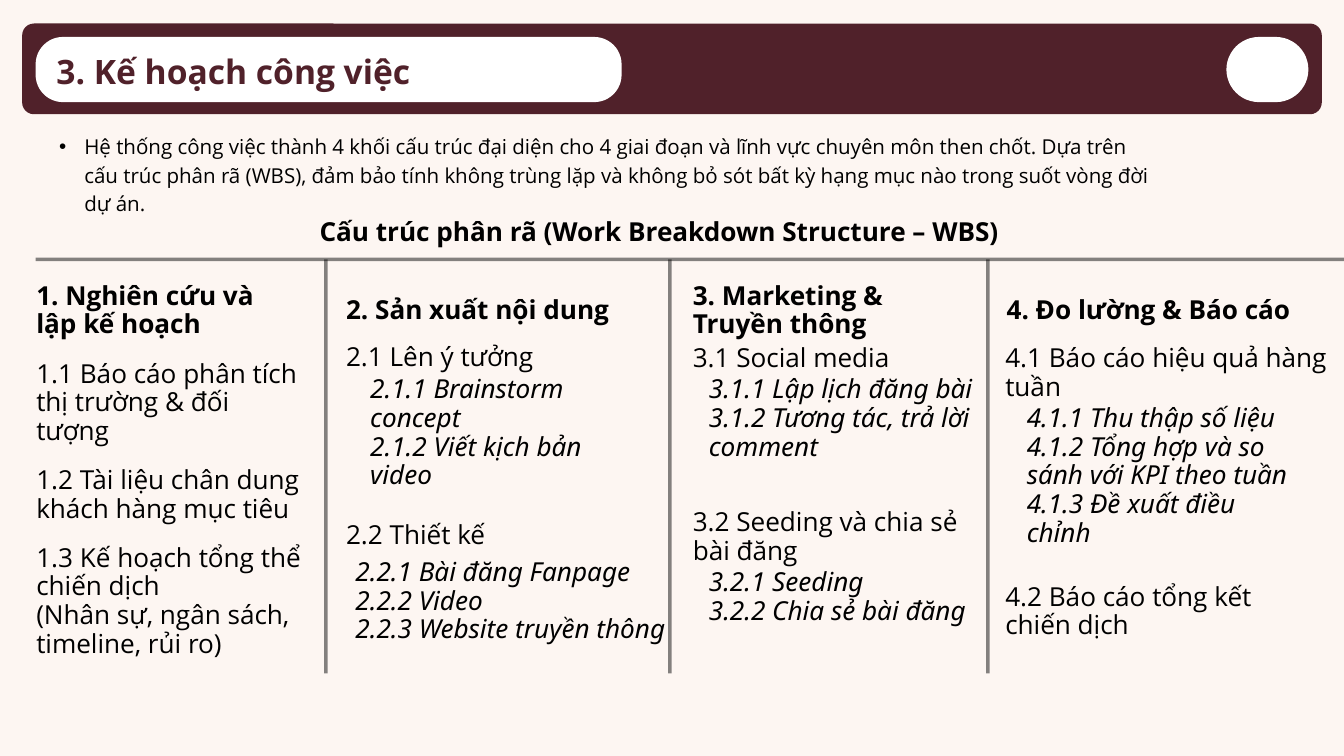
from lxml.etree import SubElement
from pptx import Presentation
from pptx.dml.color import RGBColor
from pptx.enum.shapes import MSO_CONNECTOR, MSO_SHAPE
from pptx.enum.text import MSO_ANCHOR, MSO_AUTO_SIZE, PP_ALIGN
from pptx.oxml.ns import qn
from pptx.util import Inches, Pt

COLS, ROWS = 20, 11.25  # grid of one-inch cells
WINE, WHITE, BLACK, CREAM = "50212A", "FFFFFF", "000000", "FDF6F2"
LINE = 0.43  # rows taken by one line of list text

# Formats: font values and exact line pitch
TITLE = (dict(name="Open Sans", size=Pt(36), bold=True, italic=False), 50.4)
INTRO = (dict(name="Open Sans", size=Pt(22), bold=False, italic=False), 30.8)
HEAD = (dict(name="Open Sans", size=Pt(28), bold=True, italic=False), 29.4)
ITEM = (dict(name="Open Sans", size=Pt(28), bold=False, italic=False), 30.8)
SUB = (dict(name="Noto Sans", size=Pt(28), bold=False, italic=True), 30.8)

# Columns: left, heading width, heading, parts
# Part: format, indent, row below the heading top, width, lines, paragraphs
WORK = [
    (0.54, 3.93, "1. Nghiên cứu và lập kế hoạch", [
        (ITEM, 0, 1.14, 4.03, 3, ["1.1 Báo cáo phân tích thị trường & đối tượng"]),
        (ITEM, 0, 2.73, 4.06, 2, ["1.2 Tài liệu chân dung khách hàng mục tiêu"]),
        (ITEM, 0, 3.88, 4.06, 4, ["1.3 Kế hoạch tổng thể chiến dịch",
                                  "(Nhân sự, ngân sách, timeline, rủi ro)"]),
    ]),
    (5.15, 4.5, "2. Sản xuất nội dung", [
        (ITEM, 0, 0.89, 4.28, 1, ["2.1 Lên ý tưởng"]),
        (SUB, 0.36, 1.37, 3.93, 4, ["2.1.1 Brainstorm concept",
                                    "2.1.2 Viết kịch bản video"]),
        (ITEM, 0, 3.55, 4.28, 1, ["2.2 Thiết kế"]),
        (SUB, 0.14, 4.09, 4.63, 3, ["2.2.1 Bài đăng Fanpage", "2.2.2 Video",
                                    "2.2.3 Website truyền thông"]),
    ]),
    (10.31, 3.62, "3. Marketing & Truyền thông", [
        (ITEM, 0, 0.91, 4.03, 1, ["3.1 Social media"]),
        (SUB, 0.24, 1.37, 3.93, 3, ["3.1.1 Lập lịch đăng bài",
                                    "3.1.2 Tương tác, trả lời comment"]),
        (ITEM, 0, 3.35, 4.27, 2, ["3.2 Seeding và chia sẻ bài đăng"]),
        (SUB, 0.24, 4.25, 3.93, 2, ["3.2.1 Seeding", "3.2.2 Chia sẻ bài đăng"]),
    ]),
    (14.98, 4.51, "4. Đo lường & Báo cáo", [
        (ITEM, -0.02, 0.91, 5, 2, ["4.1 Báo cáo hiệu quả hàng tuần"]),
        (SUB, 0.3, 1.8, 3.93, 5, ["4.1.1 Thu thập số liệu",
                                  "4.1.2 Tổng hợp và so sánh với KPI theo tuần",
                                  "4.1.3 Đề xuất điều chỉnh"]),
        (ITEM, -0.02, 4.46, 3.93, 2, ["4.2 Báo cáo tổng kết chiến dịch"]),
    ]),
]


def paint(fmt, color):
    fmt.solid()
    fmt.fore_color.rgb = RGBColor.from_string(color)


def grid(*cells):
    return [Inches(cell) for cell in cells]


def write(shape, lines, style, color=BLACK, align=PP_ALIGN.LEFT,
          anchor=MSO_ANCHOR.TOP):
    font, pitch = style
    frame = shape.text_frame
    frame.text = "\n".join(lines)
    values = dict(margin_left=0, margin_right=0, margin_top=0, margin_bottom=0,
                  word_wrap=True, auto_size=MSO_AUTO_SIZE.NONE,
                  vertical_anchor=anchor)
    for key, value in values.items():
        setattr(frame, key, value)
    for para in frame.paragraphs:
        para.alignment, para.line_spacing = align, Pt(pitch)
        para.space_before = para.space_after = Pt(0)
        for key, value in font.items():
            setattr(para.font, key, value)
        paint(para.font.fill, color)


def text(slide, box, *args, **keys):
    write(slide.shapes.add_textbox(*grid(*box)), *args, **keys)


def move(shape, box):
    shape.left, shape.top, shape.width, shape.height = grid(*box)


def pill(slide, box, color, bend):
    shape = slide.shapes.add_shape(MSO_SHAPE.ROUNDED_RECTANGLE, *grid(*box))
    shape.adjustments[0] = bend
    shape.shadow.inherit = False
    shape.line.fill.background()
    paint(shape.fill, color)


def rule(slide, *ends):
    line = slide.shapes.add_connector(MSO_CONNECTOR.STRAIGHT, *grid(*ends))
    line.line.width = Pt(3.75)
    paint(line.line.fill, BLACK)
    props = line._element.spPr
    SubElement(props.find(".//" + qn("a:srgbClr")), qn("a:alpha"), val="48000")
    SubElement(props, qn("a:effectLst"))


def header(slide, box):
    x, y, w, h = box
    pad = 0.2
    tall = h - 2 * pad + 0.02
    pill(slide, box, WINE, 0.13)
    pill(slide, (x + pad, y + pad, 8.72, tall), WHITE, 0.42)
    pill(slide, (x + w - pad - 1.22, y + pad, 1.22, tall), WHITE, 0.5)
    title = slide.shapes.title
    slide.shapes._spTree.append(title._element)  # in front of the band
    move(title, (x + 0.51, y + 0.3, 8.4, 0.67))
    write(title, ["3. Kế hoạch công việc"], TITLE, WINE)


def intro(slide, box):
    body = slide.placeholders[1]
    move(body, box)
    body.text_frame.text = ""
    props = body.text_frame.paragraphs[0]._p.get_or_add_pPr()
    props.set("marL", "0")
    props.set("indent", "0")
    SubElement(props, qn("a:buNone"))
    write(body, ["Hệ thống công việc thành 4 khối cấu trúc đại diện cho 4 giai "
                 "đoạn và lĩnh vực chuyên môn then chốt. Dựa trên cấu trúc phân "
                 "rã (WBS), đảm bảo tính không trùng lặp và không bỏ sót bất kỳ "
                 "hạng mục nào trong suốt vòng đời dự án."], INTRO)


def column(slide, x, y, wide, head, parts):
    text(slide, (x, y, wide, 0.84), [head], HEAD, anchor=MSO_ANCHOR.MIDDLE)
    for style, dent, row, w, count, lines in parts:
        text(slide, (x + dent, y + row, w, count * LINE), lines, style)


def table(slide, box):
    x, y, w, h = box
    text(slide, (3.94, y - 0.59, 11.73, LINE),
         ["Cấu trúc phân rã (Work Breakdown Structure – WBS)"], HEAD,
         align=PP_ALIGN.CENTER)
    rule(slide, x, y, x + w, y)
    for edge in (4.85, 9.97, 14.7):
        rule(slide, edge, y, edge, y + h)
    for left, wide, head, parts in WORK:
        column(slide, left, y + 0.35, wide, head, parts)


def main():
    deck = Presentation()
    deck.slide_width, deck.slide_height = grid(COLS, ROWS)
    slide = deck.slides.add_slide(deck.slide_layouts[1])
    paint(slide.background.fill, CREAM)
    header(slide, (0.33, 0.35, COLS - 0.66, 1.35))
    intro(slide, (0.88, 1.93, 16.41, 1.27))
    table(slide, (0.53, 3.86, COLS - 0.53, 6.16))
    deck.save("out.pptx")


if __name__ == "__main__":
    main()
